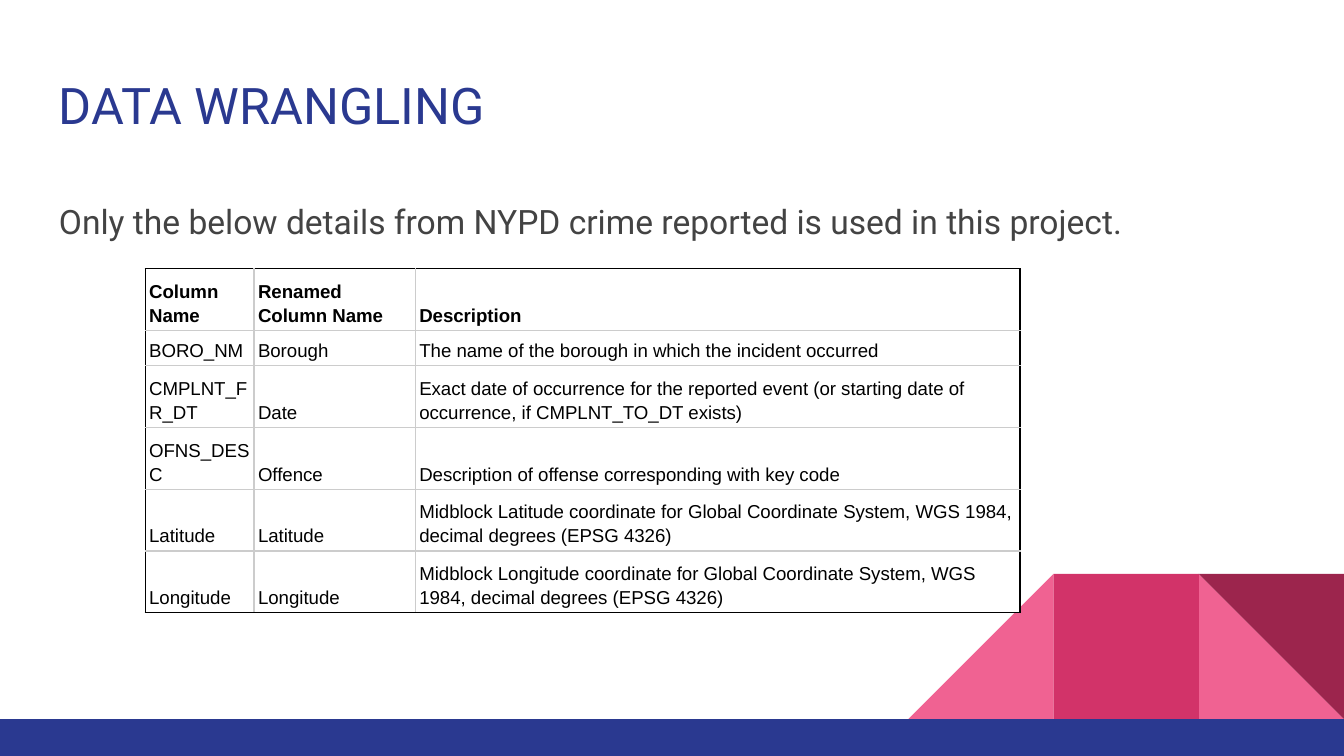
from dataclasses import dataclass

from lxml import etree
from pptx import Presentation
from pptx import util as u
from pptx.dml.color import RGBColor
from pptx.enum import shapes, text
from pptx.oxml.ns import qn

WHITE = RGBColor(0xFF, 0xFF, 0xFF)
BLACK = RGBColor(0x00, 0x00, 0x00)
GRID = RGBColor(0xCC, 0xCC, 0xCC)
GREY = RGBColor(0x43, 0x43, 0x43)
NAVY = RGBColor(0x2A, 0x39, 0x90)
PINK = RGBColor(0xF0, 0x62, 0x92)
ROSE = RGBColor(0xD2, 0x33, 0x69)
WINE = RGBColor(0x9C, 0x25, 0x4D)

SLIDE_WIDTH = 10
SLIDE_HEIGHT = SLIDE_WIDTH * 9 / 16
TILE = 1.08
FOOTER_TOP = 5.35
COLUMN_WIDTHS = (0.81, 1.2, 4.5)
ROW_HEIGHTS = (0.46, 0.26, 0.46, 0.46, 0.46, 0.46)
ROWS = (
    ("Column Name", "Renamed Column Name", "Description"),
    ("BORO_NM", "Borough", "The name of the borough in which the incident occurred"),
    ("CMPLNT_FR_DT", "Date",
     "Exact date of occurrence for the reported event "
     "(or starting date of occurrence, if CMPLNT_TO_DT exists)"),
    ("OFNS_DESC", "Offence", "Description of offense corresponding with key code"),
    ("Latitude", "Latitude",
     "Midblock Latitude coordinate for Global Coordinate System, "
     "WGS 1984, decimal degrees (EPSG 4326)"),
    ("Longitude", "Longitude",
     "Midblock Longitude coordinate for Global Coordinate System, "
     "WGS 1984, decimal degrees (EPSG 4326)"),
)


@dataclass
class Block:
    kind: shapes.MSO_SHAPE
    left: float
    top: float
    width: float
    height: float
    color: RGBColor
    rotation: int = 0
    mirrored: bool = False


@dataclass
class Style:
    font: str
    size: float
    color: RGBColor
    bold: bool = False
    spacing: float = 1.0


@dataclass
class Caption:
    words: str
    top: float
    height: float
    anchor: text.MSO_ANCHOR
    style: Style


def tile(kind: shapes.MSO_SHAPE, steps_from_right: int, color: RGBColor,
         rotation: int = 0, mirrored: bool = False) -> Block:
    return Block(kind, SLIDE_WIDTH - steps_from_right * TILE, FOOTER_TOP - TILE,
                 TILE, TILE, color, rotation, mirrored)


TRIANGLE = shapes.MSO_SHAPE.RIGHT_TRIANGLE
RECTANGLE = shapes.MSO_SHAPE.RECTANGLE
BLOCKS = (
    tile(TRIANGLE, 1, PINK),
    tile(TRIANGLE, 3, PINK, mirrored=True),
    tile(RECTANGLE, 2, ROSE),
    tile(TRIANGLE, 1, WINE, rotation=180),
    Block(RECTANGLE, 0, FOOTER_TOP, SLIDE_WIDTH, SLIDE_HEIGHT - FOOTER_TOP, NAVY),
)
CAPTIONS = (
    Caption("DATA WRANGLING", 0.45, 0.66, text.MSO_ANCHOR.MIDDLE,
            Style("Roboto", 27, NAVY)),
    Caption("Only the below details from NYPD crime reported is used in this project.",
            1.35, 3.65, text.MSO_ANCHOR.TOP, Style("Roboto", 18, GREY, spacing=1.15)),
)


def draw_block(page, block: Block) -> None:
    shape = page.shapes.add_shape(block.kind, u.Inches(block.left), u.Inches(block.top),
                                  u.Inches(block.width), u.Inches(block.height))
    shape.shadow.inherit = False
    shape.fill.solid()
    shape.fill.fore_color.rgb = block.color
    shape.line.fill.background()
    shape.rotation = block.rotation
    if block.mirrored:
        shape._element.spPr.find(qn("a:xfrm")).set("flipH", "1")


def write(frame, words: str, style: Style) -> None:
    para = frame.paragraphs[0]
    para.line_spacing = style.spacing
    span = para.add_run()
    span.text = words
    span.font.name = style.font
    span.font.size = u.Pt(style.size)
    span.font.bold = style.bold
    span.font.color.rgb = style.color


def draw_caption(page, caption: Caption) -> None:
    box = page.shapes.add_textbox(u.Inches(0.34), u.Inches(caption.top),
                                  u.Inches(9.32), u.Inches(caption.height))
    frame = box.text_frame
    frame.word_wrap = True
    frame.vertical_anchor = caption.anchor
    frame.margin_left = frame.margin_right = u.Inches(0.1)
    frame.margin_top = frame.margin_bottom = u.Inches(0.1)
    write(frame, caption.words, caption.style)


def set_borders(cell, sides: dict[str, RGBColor]) -> None:
    properties = cell._tc.get_or_add_tcPr()
    for position, (side, color) in enumerate(sides.items()):
        line = etree.Element(qn(f"a:ln{side}"), w=str(u.Pt(0.75)))
        fill = etree.SubElement(line, qn("a:solidFill"))
        etree.SubElement(fill, qn("a:srgbClr"), val=str(color))
        properties.insert(position, line)


def draw_table(page) -> None:
    last_row, last_column = len(ROWS) - 1, len(COLUMN_WIDTHS) - 1
    frame = page.shapes.add_table(len(ROWS), len(COLUMN_WIDTHS), u.Inches(1.08), u.Inches(2),
                                  u.Inches(sum(COLUMN_WIDTHS)), u.Inches(sum(ROW_HEIGHTS)))
    table = frame.table
    table.first_row = table.horz_banding = False
    for column, width in zip(table.columns, COLUMN_WIDTHS):
        column.width = u.Inches(width)
    for row, height in zip(table.rows, ROW_HEIGHTS):
        row.height = u.Inches(height)
    for r, row_words in enumerate(ROWS):
        for c, words in enumerate(row_words):
            cell = table.cell(r, c)
            cell.fill.solid()
            cell.fill.fore_color.rgb = WHITE
            cell.vertical_anchor = text.MSO_ANCHOR.BOTTOM
            cell.margin_left = cell.margin_right = u.Inches(0.03)
            cell.margin_top = cell.margin_bottom = u.Inches(0.03)
            write(cell.text_frame, words, Style("Arial", 10, BLACK, r == 0, 1.15))
            set_borders(cell, {
                "L": BLACK if c == 0 else GRID,
                "R": BLACK if c == last_column else GRID,
                "T": BLACK if r == 0 else GRID,
                "B": BLACK if r == last_row else GRID,
            })


def main() -> None:
    deck = Presentation()
    deck.slide_width = u.Inches(SLIDE_WIDTH)
    deck.slide_height = u.Inches(SLIDE_HEIGHT)
    page = deck.slides.add_slide(deck.slide_layouts[6])
    page.background.fill.solid()
    page.background.fill.fore_color.rgb = WHITE
    for block in BLOCKS:
        draw_block(page, block)
    for caption in CAPTIONS:
        draw_caption(page, caption)
    draw_table(page)
    deck.save("out.pptx")


if __name__ == "__main__":
    main()
